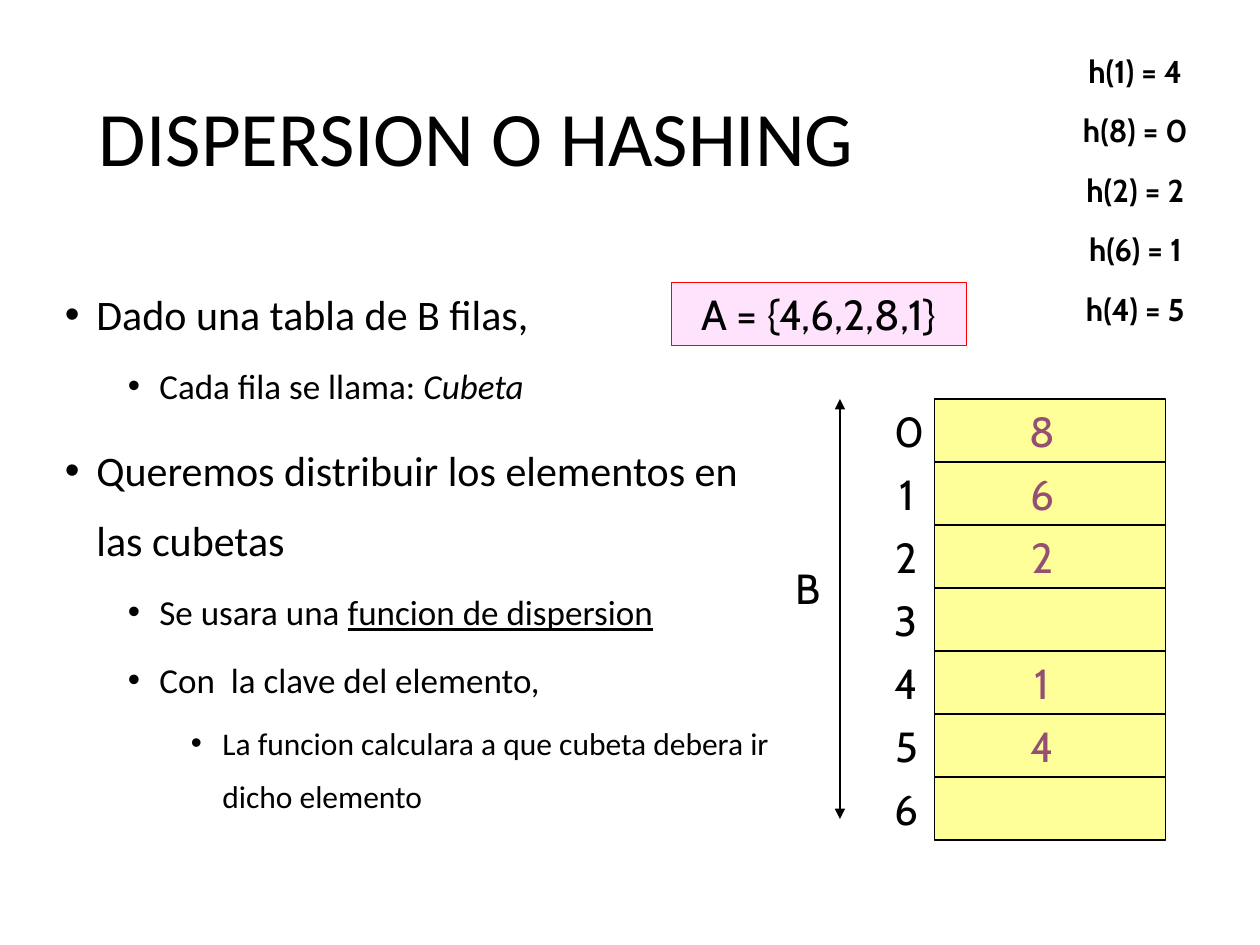
from lxml.etree import SubElement
from pptx import Presentation
from pptx.dml.color import RGBColor
from pptx.enum.shapes import MSO_CONNECTOR as CONNECTOR, MSO_SHAPE as SHAPE
from pptx.enum.text import MSO_ANCHOR as ANCHOR, PP_ALIGN as ALIGN
from pptx.oxml.ns import qn
from pptx.util import Pt

COLORS = {
    "text": "000000",
    "element": "954F72",
    "bucket": "FFFF99",
    "set fill": "FFE3FD",
    "set line": "FF0000",
    "white": "FFFFFF",
}


def add_rectangle(left, top, width, height, fill, line=None):
    shape = slide.shapes.add_shape(
        SHAPE.RECTANGLE, Pt(left), Pt(top), Pt(width), Pt(height))
    shape.shadow.inherit = False
    shape.fill.solid()
    shape.fill.fore_color.rgb = RGBColor.from_string(COLORS[fill])
    if line:
        shape.line.color.rgb = RGBColor.from_string(COLORS[line])
        shape.line.width = Pt(0.75)
    else:
        shape.line.fill.background()
    return shape


def write_label(shape, text, size=24, color="text", bold=False):
    frame = shape.text_frame
    frame.word_wrap = False
    frame.vertical_anchor = ANCHOR.TOP
    paragraph = frame.paragraphs[0]
    paragraph.text = text
    paragraph.alignment = ALIGN.CENTER
    paragraph.font.name = "Cabin"
    paragraph.font.size = Pt(size)
    paragraph.font.bold = bold
    paragraph.font.color.rgb = RGBColor.from_string(COLORS[color])


presentation = Presentation()
presentation.slide_width, presentation.slide_height = Pt(720), Pt(540)
slide = presentation.slides.add_slide(presentation.slide_layouts[6])

# Title
title = slide.shapes.add_textbox(Pt(49.5), Pt(28.75), Pt(621), Pt(104.4))
title.text_frame.word_wrap = True
title.text_frame.vertical_anchor = ANCHOR.MIDDLE
paragraph = title.text_frame.paragraphs[0]
paragraph.text = "DISPERSION O HASHING"
paragraph.line_spacing = 0.9
paragraph.font.name = "Calibri"
paragraph.font.size = Pt(44)
paragraph.font.color.rgb = RGBColor.from_string(COLORS["text"])

# Bulleted text: level, plain part, emphasised part, emphasis
bullets = [
    (0, "Dado una tabla de B filas,", "", None),
    (1, "Cada fila se llama: ", "Cubeta", "italic"),
    (0, "Queremos distribuir los elementos en las cubetas", "", None),
    (1, "Se usara una ", "funcion de dispersion", "underline"),
    (1, "Con  la clave del elemento,", "", None),
    (2, "La funcion calculara a que cubeta debera ir dicho elemento", "", None),
]
level_sizes = [24, 20, 18]
body = slide.shapes.add_textbox(Pt(30), Pt(150), Pt(420), Pt(324))
body.text_frame.word_wrap = True
for index, (level, plain, emphasised, emphasis) in enumerate(bullets):
    if index == 0:
        paragraph = body.text_frame.paragraphs[0]
    else:
        paragraph = body.text_frame.add_paragraph()
        paragraph.space_before = Pt(5 if level else 10)
    paragraph.level = level
    paragraph.line_spacing = 1.4
    properties = paragraph._p.get_or_add_pPr()
    properties.set("marL", str(Pt(18 + 36 * level)))
    properties.set("indent", str(Pt(-18)))
    SubElement(properties, qn("a:buFont"), typeface="Arial")
    SubElement(properties, qn("a:buChar"), char="•")
    paragraph.font.name = "Calibri"
    paragraph.font.size = Pt(level_sizes[level])
    paragraph.font.color.rgb = RGBColor.from_string(COLORS["text"])
    paragraph.add_run().text = plain
    if emphasised:
        run = paragraph.add_run()
        run.text = emphasised
        setattr(run.font, emphasis, True)

# Set of elements
element_set = add_rectangle(383.75, 161.5, 168.5, 36, "set fill", "set line")
write_label(element_set, "A = {4,6,2,8,1}")

# Height of the table
arrow = slide.shapes.add_connector(
    CONNECTOR.STRAIGHT, Pt(480), Pt(228), Pt(480), Pt(468))
arrow.line.color.rgb = RGBColor.from_string(COLORS["text"])
arrow.line.width = Pt(0.75)
line_properties = arrow.line._get_or_add_ln()
for end in ("a:headEnd", "a:tailEnd"):
    SubElement(line_properties, qn(end), type="triangle")
SubElement(arrow._element.spPr, qn("a:effectLst"))
height_label = slide.shapes.add_textbox(Pt(447), Pt(318), Pt(29.5), Pt(36))
write_label(height_label, "B")

# Buckets with their numbers and elements
table_top, row_height = 228, 36
for row, element in enumerate(["8", "6", "2", "", "1", "4", ""]):
    top = table_top + row * row_height
    add_rectangle(534, top, 132, row_height, "bucket", "text")
    number = slide.shapes.add_textbox(
        Pt(504), Pt(top), Pt(28), Pt(row_height))
    write_label(number, str(row))
    if element:
        content = slide.shapes.add_textbox(
            Pt(581.5), Pt(top), Pt(28), Pt(row_height))
        write_label(content, element, color="element")

# Hash values
hashes = [(1, 4), (8, 0), (2, 2), (6, 1), (4, 5)]
for index, (key, bucket) in enumerate(hashes):
    hash_value = add_rectangle(609.5, 26 + 34 * index, 78.5, 29, "white")
    write_label(hash_value, f"h({key}) = {bucket}", size=18, bold=True)

presentation.save("out.pptx")
